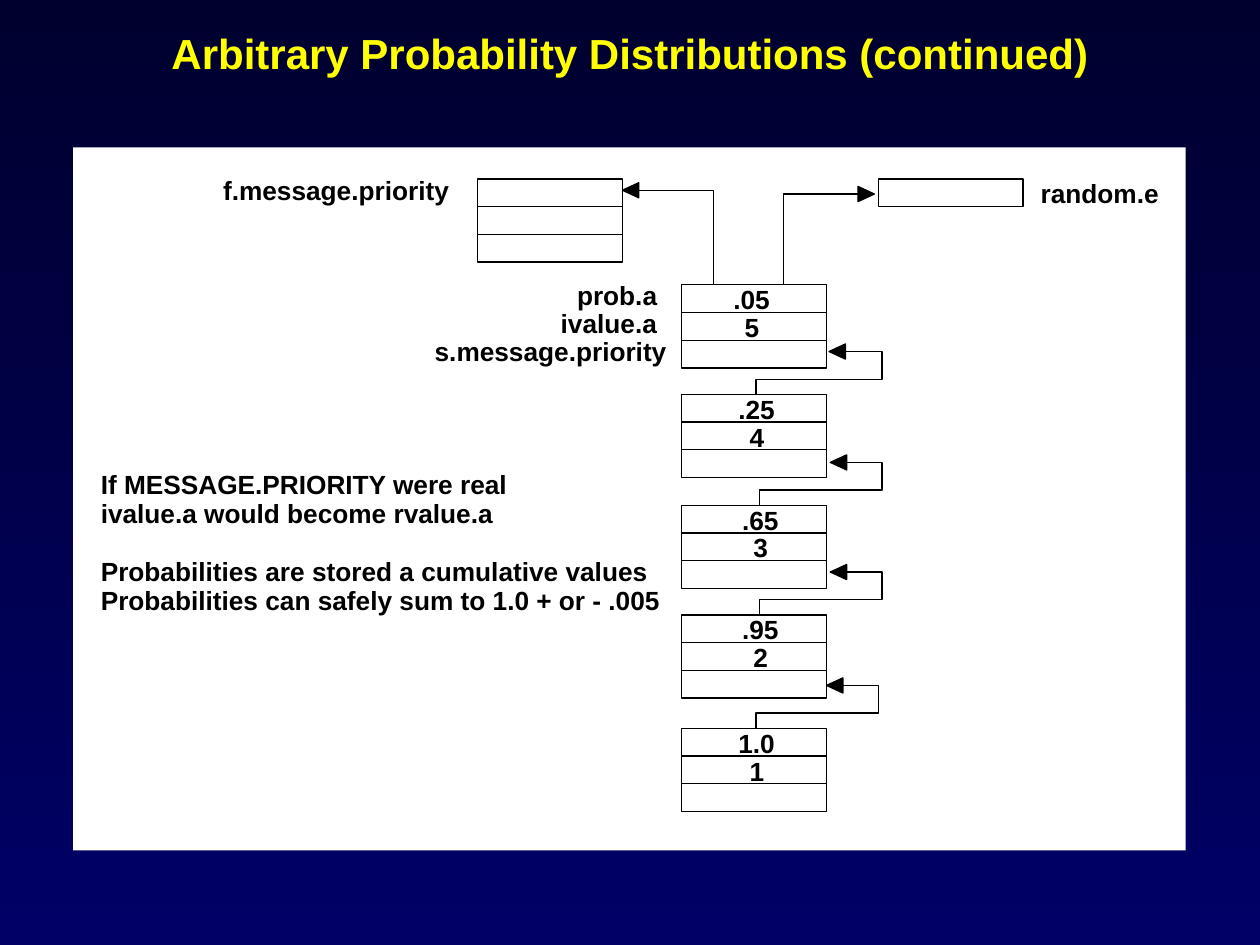
"""Build the slide on storing an arbitrary probability distribution as a linked list."""
from dataclasses import dataclass

from pptx import Presentation
from pptx.dml.color import RGBColor
from pptx.enum.shapes import MSO_SHAPE as Preset
from pptx.enum.text import MSO_ANCHOR as Anchor, MSO_AUTO_SIZE as AutoSize, PP_ALIGN as Align
from pptx.util import Inches, Pt


@dataclass(frozen=True)
class Theme:
    top: RGBColor = RGBColor(0x00, 0x00, 0x2F)
    bottom: RGBColor = RGBColor(0x00, 0x00, 0x66)
    panel: RGBColor = RGBColor(0xFF, 0xFF, 0xFF)
    ink: RGBColor = RGBColor(0x00, 0x00, 0x00)
    title: RGBColor = RGBColor(0xFF, 0xFF, 0x00)
    font: str = "Arial"
    title_size: Pt = Pt(24)
    label_size: Pt = Pt(15)
    hairline: Pt = Pt(0)


theme = Theme()
deck = Presentation()
deck.slide_width, deck.slide_height = Inches(10), Inches(7.5)
page = deck.slides.add_slide(deck.slide_layouts[6])


def add_text(text, left, top, width, height=0.25, size=theme.label_size, color=theme.ink):
    box = page.shapes.add_textbox(Inches(left), Inches(top), Inches(width), Inches(height))
    frame = box.text_frame
    frame.margin_left = frame.margin_right = frame.margin_top = frame.margin_bottom = 0
    frame.word_wrap = False
    frame.auto_size = AutoSize.NONE
    span = frame.paragraphs[0].add_run()
    span.text = text
    span.font.name, span.font.size, span.font.bold = theme.font, size, True
    span.font.color.rgb = color
    return frame


def add_path(points, closed=False):
    corners = [(Inches(x), Inches(y)) for x, y in points]
    builder = page.shapes.build_freeform(*corners[0])
    builder.add_line_segments(corners[1:], close=closed)
    path_shape = builder.convert_to_shape()
    path_shape.shadow.inherit = False
    path_shape.line.color.rgb = theme.ink
    path_shape.line.width = theme.hairline
    if closed:
        path_shape.fill.solid()
        path_shape.fill.fore_color.rgb = theme.ink
    else:
        path_shape.fill.background()


backdrop = page.background.fill
backdrop.gradient()
backdrop.gradient_angle = 270
for stop, color in zip(backdrop.gradient_stops, (theme.top, theme.bottom)):
    stop.color.rgb = color

panel = page.shapes.add_shape(Preset.RECTANGLE, Inches(0.58), Inches(1.17), Inches(8.83), Inches(5.58))
panel.shadow.inherit = False
panel.fill.solid()
panel.fill.fore_color.rgb = theme.panel
panel.line.fill.background()

node_left, cell_width, cell_height = 5.41, 1.15, 0.22
nodes = [
    (2.26, ".05", "5", 5.82),
    (3.13, ".25", "4", 5.86),
    (4.01, ".65", "3", 5.89),
    (4.88, ".95", "2", 5.89),
    (5.78, "1.0", "1", 5.86),
]

links = [
    [(5.66, 2.26), (5.66, 1.51), (4.94, 1.51)],
    [(6.22, 2.29), (6.22, 1.54), (6.94, 1.54)],
]
turns = [(6, 7, 6.58), (6.03, 7, 6.59), (6.03, 7, 6.59), (6, 6.97, 6.56)]
for (top, *_), (start, turn, tip) in zip(nodes[1:], turns):
    links.append([(start, top + 0.03), (start, top - 0.12), (turn, top - 0.12),
                  (turn, top - 0.34), (tip, top - 0.34)])
for link in links:
    add_path(link)
    (before, _), (tip, level) = link[-2:]
    base = tip + (0.13 if before > tip else -0.13)
    add_path([(base, level + 0.06), (tip, level), (base, level - 0.06)], closed=True)

stacks = [(6.97, 1.42, 1), (3.79, 1.42, 3)] + [(node_left, node[0], 3) for node in nodes]
for left, top, rows in stacks:
    for row in range(rows):
        cell = page.shapes.add_shape(Preset.RECTANGLE, Inches(left), Inches(top + row * cell_height),
                                     Inches(cell_width), Inches(cell_height))
        cell.shadow.inherit = False
        cell.fill.solid()
        cell.fill.fore_color.rgb = theme.panel
        cell.line.color.rgb = theme.ink
        cell.line.width = theme.hairline

for text, left, top, width in [
    ("f.message.priority", 1.77, 1.38, 1.85),
    ("prob.a", 4.58, 2.22, 0.7),
    ("ivalue.a", 4.45, 2.44, 0.82),
    ("s.message.priority", 3.45, 2.66, 1.9),
    ("random.e", 8.26, 1.41, 1.23),
]:
    add_text(text, left, top, width)

for top, probability, value, left in nodes:
    add_text(probability, left, top - 0.01, 0.34)
    add_text(value, left + 0.09, top + 0.21, 0.16)

for line, text, width in [
    (0, "If MESSAGE.PRIORITY were real", 3.3),
    (1, "ivalue.a would become rvalue.a", 3.2),
    (3, "Probabilities are stored a cumulative values", 4.42),
    (4, "Probabilities can safely sum to 1.0 + or - .005", 4.52),
]:
    add_text(text, 0.8, 3.72 + 0.23 * line, width)

heading = add_text("Arbitrary Probability Distributions (continued)", 0.75, 0, 8.5, 0.83,
                   theme.title_size, theme.title)
heading.word_wrap = True
heading.margin_left = heading.margin_right = Inches(0.1)
heading.margin_top = heading.margin_bottom = Inches(0.05)
heading.vertical_anchor = Anchor.MIDDLE
heading.paragraphs[0].alignment = Align.CENTER

deck.save("out.pptx")
